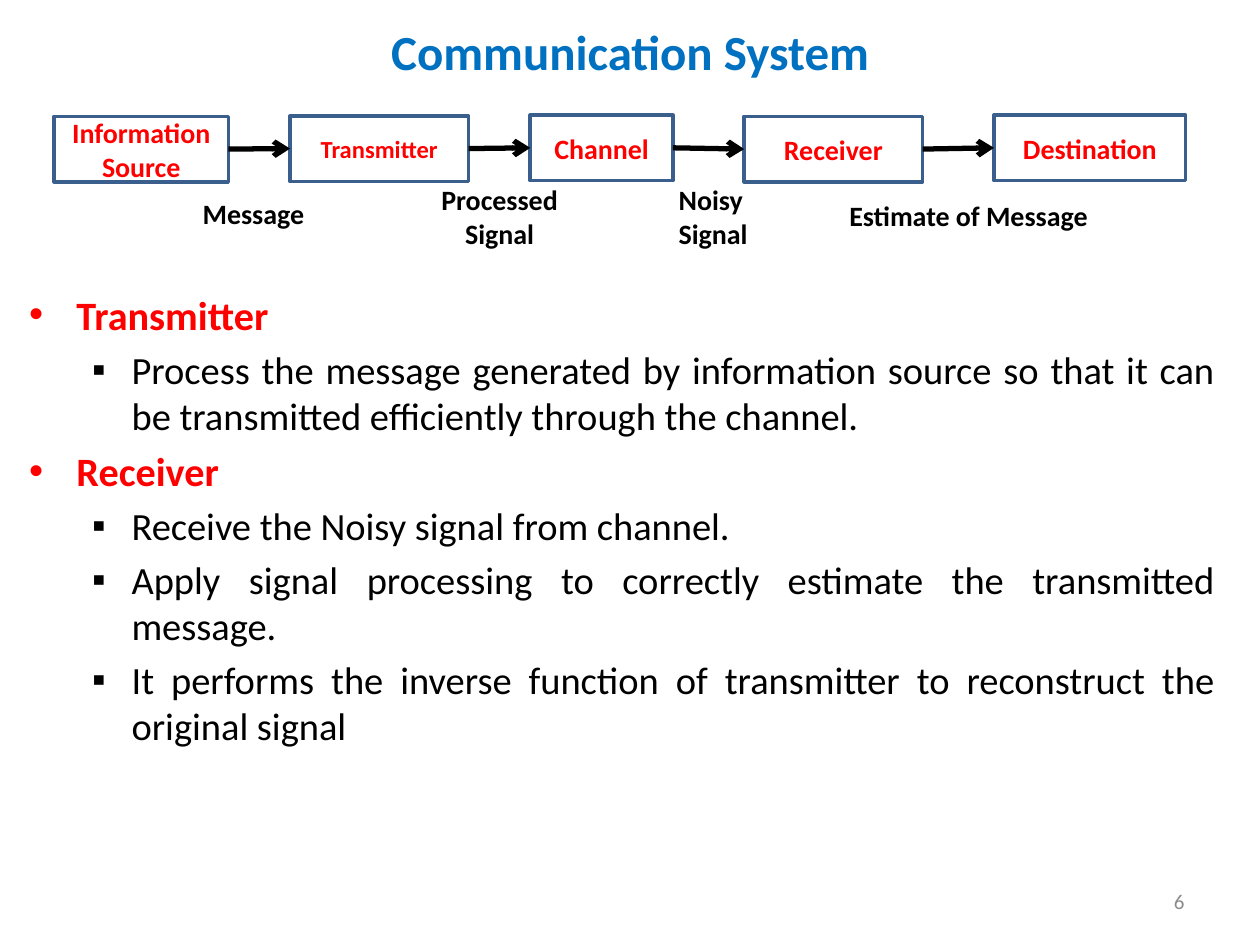
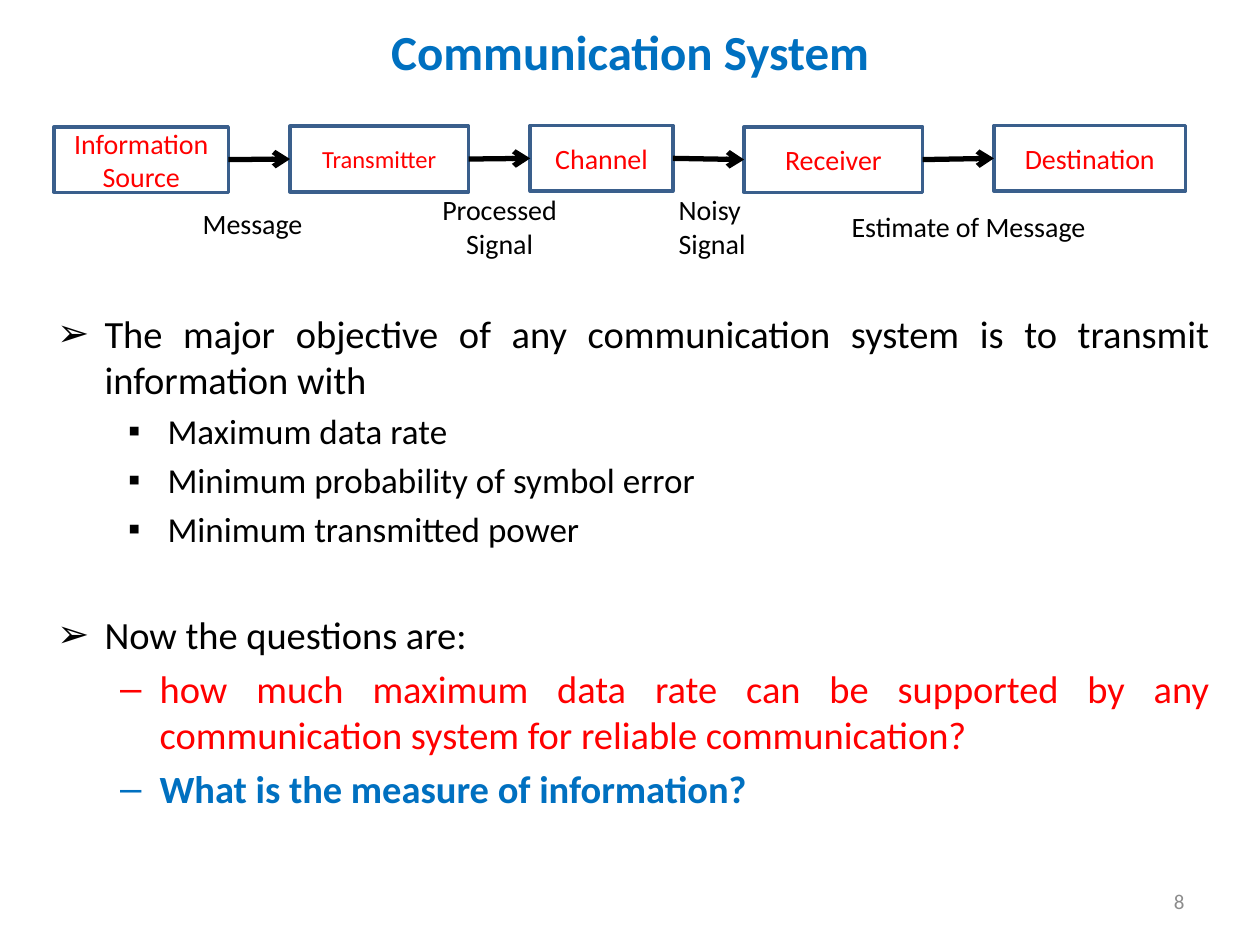
from lxml.etree import SubElement
from pptx import Presentation
from pptx.dml.color import RGBColor as Rgb
from pptx.enum.shapes import MSO_CONNECTOR as Line, MSO_SHAPE as Shape
from pptx.enum.text import MSO_ANCHOR as Anchor, MSO_AUTO_SIZE as Fit, PP_ALIGN as Align
from pptx.oxml.ns import qn
from pptx.util import Pt

HUES = {"blue": "0070C0", "red": "FF0000", "black": "000000",
        "gray": "8C8C8C", "edge": "3A5F8C", "white": "FFFFFF"}
TITLE = "Communication System"

# text, left, drop below the row top, width, size
BOXES = [
    ("Information\nSource", 31, 0.7, 99.5, 16),
    ("Transmitter", 165.75, 0.4, 102, 14),
    ("Channel", 303, 0, 81.5, 16),
    ("Receiver", 425.25, 0.7, 102, 16),
    ("Destination", 568, 0, 109.5, 16),
]
BOX_H = 37.5

# text, left, drop below the row top, width, height, alignment
LABELS = [
    ("Message", 108.75, 43, 73.5, 26.5, Align.LEFT),
    ("Processed\nSignal", 244.5, 35, 82, 46, Align.CENTER),
    ("Noisy\nSignal", 380.75, 35, 55, 46, Align.LEFT),
    ("Estimate of Message", 477.25, 44.25, 152.5, 26.5, Align.CENTER),
]

# bullet styles: level, mark, text indent, hanging indent
HEAD = (0, "•", 27, 27)
POINT = (0, "➢", 27, 27)
ITEM = (1, "▪", 58.5, 22.5)
DEEP = (1, "▪", 63, 22.5)
DASH = (1, "–", 58.5, 22.5)

# list rows: style, text, size, colour, bold, space before (None: as in the template)
SLIDES = [
    {"num": "6", "top": 65.75, "bold": True, "body": (9.5, 162, 692, 278), "rows": [
        (HEAD, "Transmitter", 23, "red", True, None),
        (ITEM, "Process the message generated by information source so that it can "
               "be transmitted efficiently through the channel.", 22, "black", False, None),
        (HEAD, "Receiver", 23, "red", True, None),
        (ITEM, "Receive the Noisy signal from channel.", 22, "black", False, None),
        (ITEM, "Apply signal processing to correctly estimate the transmitted message.",
         22, "black", False, None),
        (ITEM, "It performs the inverse function of transmitter to reconstruct the "
               "original signal", 22, "black", False, None),
    ]},
    {"num": "8", "top": 71.75, "bold": False, "body": (25.5, 173.5, 673, 317.5), "rows": [
        (POINT, "The major objective of any communication system is to transmit "
                "information with", 22, "black", False, None),
        (DEEP, "Maximum data rate", 20, "black", False, None),
        (DEEP, "Minimum probability of symbol error", 20, "black", False, None),
        (DEEP, "Minimum transmitted power", 20, "black", False, None),
        (POINT, "Now the questions are:", 22, "black", False, 35.5),
        (DASH, "how much maximum data rate can be supported by any communication "
               "system for reliable communication?", 22, "red", False, None),
        (DASH, "What is the measure of information?", 22, "blue", True, None),
    ]},
]


def place(shape, *nums):
    shape.left, shape.top, shape.width, shape.height = map(Pt, nums)


def write(frame, text, size, hue, bold=False, align=Align.CENTER):
    """Fill an empty frame with one paragraph per line of text."""
    for i, line in enumerate(text.split("\n")):
        para = frame.add_paragraph() if i else frame.paragraphs[0]
        para.alignment = align
        run = para.add_run()
        run.text = line
        font = run.font
        font.name, font.size, font.bold = "Calibri", Pt(size), bold
        font.color.rgb = Rgb.from_string(HUES[hue])


deck = Presentation()
deck.slide_width, deck.slide_height = Pt(720), Pt(540)

for page in SLIDES:
    slide = deck.slides.add_slide(deck.slide_layouts[1])
    shapes = slide.shapes
    top, bold = page["top"], page["bold"]

    title = shapes.title
    place(title, 36, 9.5, 648, 39)
    title.text_frame.auto_size = Fit.NONE
    title.text_frame.vertical_anchor = Anchor.MIDDLE
    write(title.text_frame, TITLE, 28, "blue", True)

    body = slide.placeholders[1]
    place(body, *page["body"])
    frame = body.text_frame
    frame.auto_size = Fit.NONE
    for i, (style, text, size, hue, heavy, gap) in enumerate(page["rows"]):
        level, mark, left, hang = style
        para = frame.add_paragraph() if i else frame.paragraphs[0]
        para.level, para.alignment = level, Align.JUSTIFY
        if gap:
            para.space_before = Pt(gap)
        props = para._p.get_or_add_pPr()
        props.set("marL", str(Pt(left)))
        props.set("indent", str(-Pt(hang)))
        SubElement(props, qn("a:buChar")).set("char", mark)
        run = para.add_run()
        run.text = text
        font = run.font
        font.name, font.size, font.bold = "Calibri", Pt(size), heavy
        font.color.rgb = Rgb.from_string(HUES[hue])

    chain = []
    for text, left, drop, width, size in BOXES:
        box = shapes.add_shape(Shape.RECTANGLE, Pt(left), Pt(top + drop), Pt(width), Pt(BOX_H))
        box.shadow.inherit = False
        box.fill.solid()
        box.fill.fore_color.rgb = Rgb.from_string(HUES["white"])
        box.line.color.rgb = Rgb.from_string(HUES["edge"])
        box.line.width = Pt(2)
        write(box.text_frame, text, size, "red", bold)
        chain.append(box)

    for start, end in zip(chain, chain[1:]):
        link = shapes.add_connector(Line.STRAIGHT, 0, 0, 0, 0)
        link.begin_connect(start, 3)
        link.end_connect(end, 1)
        link.line.color.rgb = Rgb.from_string(HUES["black"])
        link.line.width = Pt(3)
        SubElement(link.line._get_or_add_ln(), qn("a:tailEnd")).set("type", "arrow")
        SubElement(link._element.spPr, qn("a:effectLst"))

    for text, left, drop, width, height, align in LABELS:
        label = shapes.add_textbox(Pt(left), Pt(top + drop), Pt(width), Pt(height))
        label.text_frame.word_wrap = False
        label.text_frame.auto_size = Fit.SHAPE_TO_FIT_TEXT
        write(label.text_frame, text, 16, "black", bold, align)

    num = shapes.add_textbox(Pt(516), Pt(500.5), Pt(168), Pt(28.75))
    num.text_frame.word_wrap = True
    num.text_frame.vertical_anchor = Anchor.MIDDLE
    write(num.text_frame, page["num"], 12, "gray", align=Align.RIGHT)

deck.save("out.pptx")
